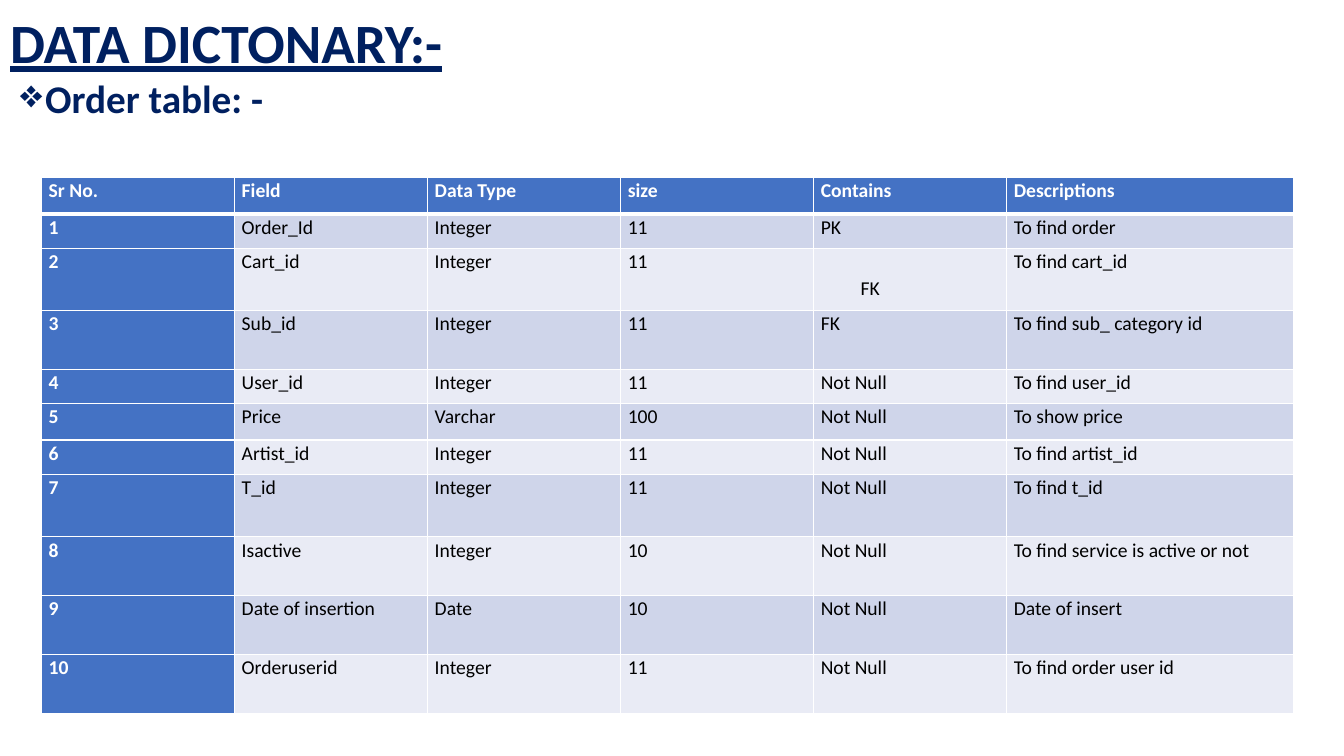
from dataclasses import dataclass

from lxml import etree
from pptx import Presentation
from pptx import util as u
from pptx.dml.color import RGBColor
from pptx.enum import text
from pptx.oxml import ns


@dataclass(frozen=True)
class Theme:
    font: str = "Calibri"
    navy: str = "002060"
    blue: str = "4472C4"
    white: str = "FFFFFF"
    black: str = "000000"
    bands: tuple = ("CFD5EA", "E9EBF5")
    title_size: float = 39.6
    heading_size: float = 28
    cell_size: float = 14


class PageBuilder:
    def __init__(self, page, theme):
        self.page = page
        self.theme = theme

    def style(self, para, size, color, bold=True, underline=None):
        font = para.font
        font.name = self.theme.font
        font.size = u.Pt(size)
        font.bold = bold
        font.underline = underline
        font.color.rgb = RGBColor.from_string(color)

    def title(self, words, left, top, width, height):
        box = self.page.shapes.title
        box.left, box.top = u.Pt(left), u.Pt(top)
        box.width, box.height = u.Pt(width), u.Pt(height)
        frame = box.text_frame
        frame.text = words
        frame.auto_size = text.MSO_AUTO_SIZE.NONE
        frame.vertical_anchor = text.MSO_ANCHOR.MIDDLE
        para = frame.paragraphs[0]
        para.alignment = text.PP_ALIGN.LEFT
        para.line_spacing = 0.9
        self.style(para, self.theme.title_size, self.theme.navy, underline=True)

    def bullet_heading(self, words, left, top, width, height):
        box = self.page.shapes.add_textbox(*map(u.Pt, (left, top, width, height)))
        frame = box.text_frame
        frame.word_wrap = True
        frame.text = words
        para = frame.paragraphs[0]
        para.line_spacing = 0.9
        properties = para._p.get_or_add_pPr()
        properties.set("marL", str(u.Pt(18)))
        properties.set("indent", str(u.Pt(-18)))
        etree.SubElement(properties, ns.qn("a:buChar"), char="❖")
        self.style(para, self.theme.heading_size, self.theme.navy)

    def borders(self, cell, bottom):
        properties = cell._tc.get_or_add_tcPr()
        for side, width in (("L", 1), ("R", 1), ("T", 1), ("B", bottom)):
            line = etree.SubElement(properties, ns.qn(f"a:ln{side}"), w=str(u.Pt(width)))
            fill = etree.SubElement(line, ns.qn("a:solidFill"))
            etree.SubElement(fill, ns.qn("a:srgbClr"), val=self.theme.white)

    def cell(self, cell, words, row, column):
        accent = row == 0 or column == 0
        self.borders(cell, 3 if row == 0 else 1)
        cell.fill.solid()
        fill = self.theme.blue if accent else self.theme.bands[(row - 1) % 2]
        cell.fill.fore_color.rgb = RGBColor.from_string(fill)
        cell.margin_left = cell.margin_right = u.Pt(5)
        cell.margin_top = cell.margin_bottom = 0
        cell.text = words
        para = cell.text_frame.paragraphs[0]
        para.alignment = text.PP_ALIGN.JUSTIFY
        para.line_spacing = 1.07
        para.space_after = u.Pt(0.5)
        color = self.theme.white if accent else self.theme.black
        self.style(para, self.theme.cell_size, color, bold=accent)

    def table(self, rows, left, top, widths, heights):
        frame = self.page.shapes.add_table(
            len(rows), len(widths), u.Pt(left), u.Pt(top),
            u.Pt(sum(widths)), u.Pt(sum(heights)))
        table = frame.table
        table.first_col = True
        for column, width in zip(table.columns, widths):
            column.width = u.Pt(width)
        for row, height in zip(table.rows, heights):
            row.height = u.Pt(height)
        for r, values in enumerate(rows):
            for c, words in enumerate(values):
                self.cell(table.cell(r, c), words, r, c)
        return table


FIELDS = [
    ("Order_Id", "Integer", "11", "PK", "To find order"),
    ("Cart_id", "Integer", "11", "FK", "To find cart_id"),
    ("Sub_id", "Integer", "11", "FK", "To find sub_ category id"),
    ("User_id", "Integer", "11", "Not Null", "To find user_id"),
    ("Price", "Varchar", "100", "Not Null", "To show price"),
    ("Artist_id", "Integer", "11", "Not Null", "To find artist_id"),
    ("T_id", "Integer", "11", "Not Null", "To find t_id"),
    ("Isactive", "Integer", "10", "Not Null", "To find service is active or not"),
    ("Date of insertion", "Date", "10", "Not Null", "Date of insert"),
    ("Orderuserid", "Integer", "11", "Not Null", "To find order user id"),
]
HEADER = ("Sr No.", "Field", "Data Type", "size", "Contains", "Descriptions")
COLUMN_WIDTHS = [137.9] * 5 + [204.5]
ROW_HEIGHTS = [26, 24.5, 44.4, 42, 24.5, 26, 24.5, 44.7, 42, 42, 42]


def main():
    deck = Presentation()
    deck.slide_width, deck.slide_height = u.Pt(960), u.Pt(540)
    builder = PageBuilder(deck.slides.add_slide(deck.slide_layouts[5]), Theme())
    builder.title("DATA DICTONARY:-", 0, 11.5, 894, 42)
    builder.bullet_heading("Order table: -", 7.2, 53.3, 887, 432.7)
    rows = [HEADER] + [(str(n), *field) for n, field in enumerate(FIELDS, 1)]
    table = builder.table(rows, 29.8, 126.9, COLUMN_WIDTHS, ROW_HEIGHTS)
    cart_key = table.cell(2, 4)
    cart_key.margin_left, cart_key.margin_top = u.Pt(33.5), u.Pt(19.3)
    deck.save("out.pptx")


if __name__ == "__main__":
    main()
